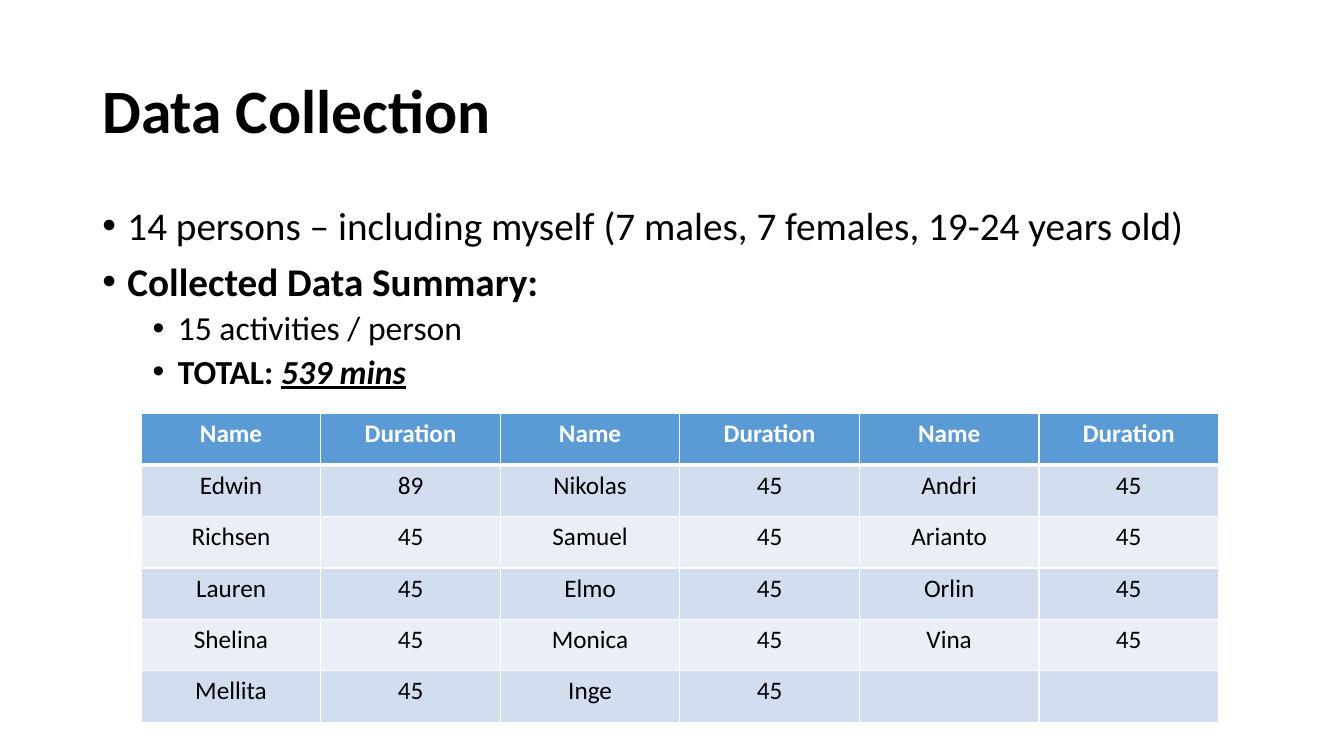
from lxml import etree
from pptx import Presentation
from pptx.dml.color import RGBColor
from pptx.enum.text import MSO_ANCHOR, PP_ALIGN
from pptx.oxml.ns import qn
from pptx.util import Pt

CENTER = PP_ALIGN.CENTER
MIDDLE = MSO_ANCHOR.MIDDLE
FONT = "Calibri"
COLORS = {
    "text": "000000",
    "white": "FFFFFF",
    "header": "5B9BD5",
    "odd_row": "D2DEEF",
    "even_row": "EAEFF7",
}


def add_run(paragraph, text, size, color="text", **formats):
    run = paragraph.add_run()
    run.text = text
    run.font.color.rgb = RGBColor.from_string(COLORS[color])
    for name, value in {"name": FONT, "size": Pt(size), **formats}.items():
        setattr(run.font, name, value)


def add_border(cell, side, width):
    line = etree.SubElement(cell._tc.get_or_add_tcPr(), qn(f"a:ln{side}"), w=str(Pt(width)))
    fill = etree.SubElement(line, qn("a:solidFill"))
    etree.SubElement(fill, qn("a:srgbClr"), val=COLORS["white"])


presentation = Presentation()
presentation.slide_width = Pt(960)
presentation.slide_height = Pt(540)
slide = presentation.slides.add_slide(presentation.slide_layouts[6])

# Title
title = slide.shapes.add_textbox(Pt(66), Pt(28.75), Pt(828), Pt(104.4)).text_frame
title.word_wrap = True
title.vertical_anchor = MIDDLE
title.paragraphs[0].line_spacing = 0.9
add_run(title.paragraphs[0], "Data Collection", 44, bold=True)

# Bullets: level and runs
BULLETS = [
    (0, [("14 persons – including myself (7 males, 7 females, 19-24 years old)", {})]),
    (0, [("Collected Data Summary:", {"bold": True})]),
    (1, [("15 activities / person", {})]),
    (1, [("TOTAL: ", {"bold": True}),
         ("539 mins", {"bold": True, "italic": True, "underline": True})]),
]
LEVELS = [
    {"size": 28, "indent": 18, "space": 10},
    {"size": 24, "indent": 54, "space": 5},
]
body = slide.shapes.add_textbox(Pt(66), Pt(143.75), Pt(828), Pt(396)).text_frame
body.word_wrap = True
for index, (level, runs) in enumerate(BULLETS):
    style = LEVELS[level]
    paragraph = body.add_paragraph() if index else body.paragraphs[0]
    paragraph.level = level
    paragraph.line_spacing = 0.9
    paragraph.space_before = Pt(style["space"] if index else 0)
    properties = paragraph._p.get_or_add_pPr()
    properties.set("marL", str(Pt(style["indent"])))
    properties.set("indent", str(Pt(-18)))
    etree.SubElement(properties, qn("a:buFont"), typeface="Arial")
    etree.SubElement(properties, qn("a:buChar"), char="•")
    for text, formats in runs:
        add_run(paragraph, text, style["size"], **formats)

# Duration table
ROWS = [
    ["Name", "Duration"] * 3,
    ["Edwin", "89", "Nikolas", "45", "Andri", "45"],
    ["Richsen", "45", "Samuel", "45", "Arianto", "45"],
    ["Lauren", "45", "Elmo", "45", "Orlin", "45"],
    ["Shelina", "45", "Monica", "45", "Vina", "45"],
    ["Mellita", "45", "Inge", "45", "", ""],
]
table = slide.shapes.add_table(
    len(ROWS), len(ROWS[0]), Pt(100.9), Pt(295.5), Pt(769.5), Pt(220.5)).table
for row_index, row in enumerate(ROWS):
    is_header = row_index == 0
    row_color = "header" if is_header else "odd_row" if row_index % 2 else "even_row"
    widths = {"L": 1, "R": 1, "T": 3 if row_index == 1 else 1, "B": 3 if is_header else 1}
    for column_index, text in enumerate(row):
        cell = table.cell(row_index, column_index)
        for side, width in widths.items():
            add_border(cell, side, width)
        cell.fill.solid()
        cell.fill.fore_color.rgb = RGBColor.from_string(COLORS[row_color])
        paragraph = cell.text_frame.paragraphs[0]
        paragraph.alignment = CENTER
        if text:
            add_run(paragraph, text, 18, "white" if is_header else "text", bold=is_header)

presentation.save("out.pptx")
